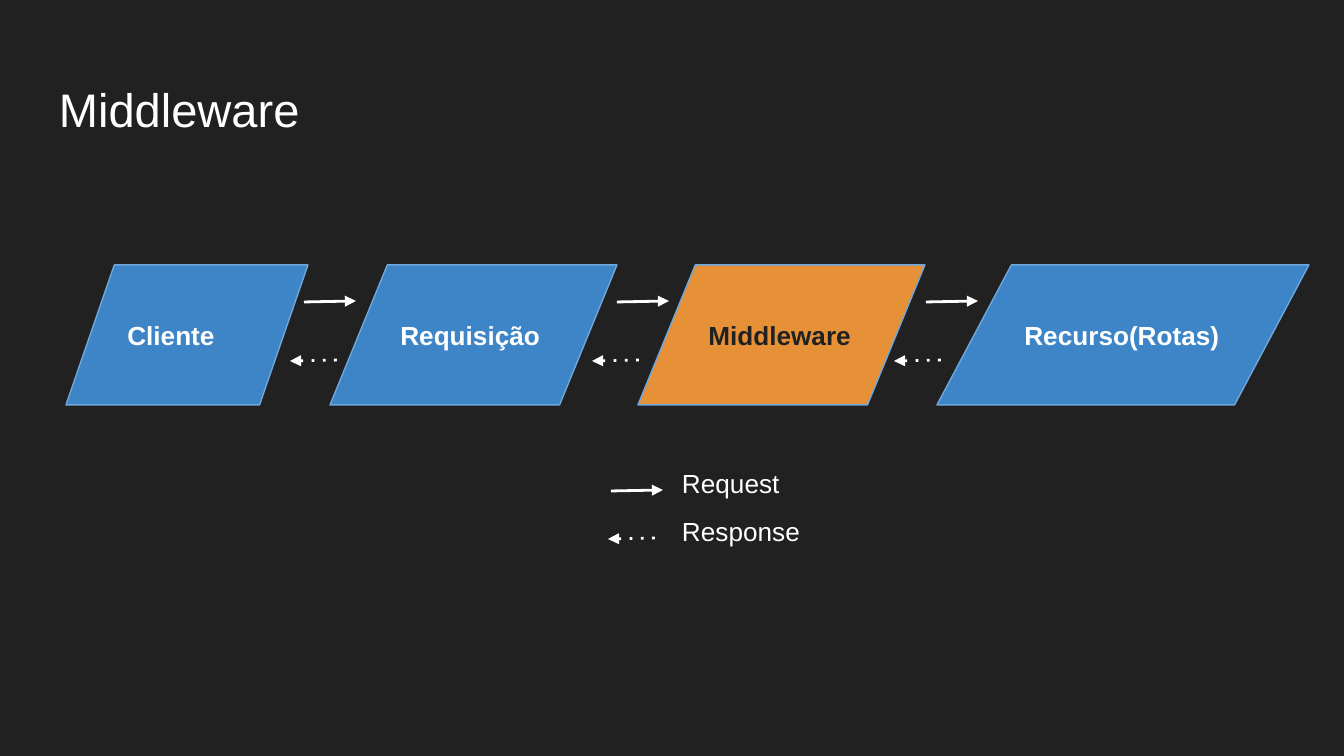
from lxml import etree
from pptx import Presentation
from pptx import util as u
from pptx.dml.color import RGBColor
from pptx.enum import shapes, text
from pptx.oxml.ns import qn

EMU_PER_PX = 914400 / 134.4
FONT = "Arial"
BACKGROUND, WHITE = "212121", "FFFFFF"
BLUE, ORANGE, OUTLINE = "3D85C6", "E69138", "6FA8DC"
INSET = 13
ARROW_WIDTH = 52


def px(length):
    return u.Emu(round(length * EMU_PER_PX))


def color(value):
    return RGBColor.from_string(value)


def write(shape, words, size=14, fill=WHITE, bold=False,
          anchor=text.MSO_ANCHOR.TOP, wrap=True):
    frame = shape.text_frame
    frame.word_wrap = wrap
    frame.vertical_anchor = anchor
    frame.margin_left = frame.margin_right = px(INSET)
    frame.margin_top = frame.margin_bottom = px(INSET)
    paragraph = frame.paragraphs[0]
    paragraph.text = words
    paragraph.alignment = text.PP_ALIGN.LEFT
    font = paragraph.font
    font.name, font.size, font.bold = FONT, u.Pt(size), bold
    font.color.rgb = color(fill)


def add_arrow(slide, left, top, response=False):
    """Solid arrow to the right, or dotted arrow to the left for a response."""
    connector = slide.shapes.add_connector(
        shapes.MSO_CONNECTOR.STRAIGHT,
        px(left), px(top), px(left + ARROW_WIDTH), px(top - 1))
    connector.line.color.rgb = color(WHITE)
    connector.line.width = u.Pt(1.5)
    line = connector.line._get_or_add_ln()
    if response:
        etree.SubElement(line, qn("a:prstDash"), val="dot")
    end = "a:headEnd" if response else "a:tailEnd"
    etree.SubElement(line, qn(end), type="triangle")
    etree.SubElement(connector._element.spPr, qn("a:effectLst"))


def add_title(slide, left, top, width, height):
    title = slide.shapes.title
    title.left, title.top = px(left), px(top)
    title.width, title.height = px(width), px(height)
    write(title, "Middleware", size=25.2, anchor=text.MSO_ANCHOR.MIDDLE)


def add_flow(slide, left, top, height):
    # Stages: label, offset, width, fill, text colour
    stages = [
        ("Cliente", 0, 242, BLUE, WHITE),
        ("Requisição", 264, 287, BLUE, WHITE),
        ("Middleware", 572, 287, ORANGE, BACKGROUND),
        ("Recurso(Rotas)", 871, 372, BLUE, WHITE),
    ]
    for label, offset, width, fill, ink in stages:
        stage = slide.shapes.add_shape(
            shapes.MSO_SHAPE.FLOWCHART_DATA,
            px(left + offset), px(top), px(width), px(height))
        stage.shadow.inherit = False
        stage.fill.solid()
        stage.fill.fore_color.rgb = color(fill)
        stage.line.color.rgb = color(OUTLINE)
        stage.line.width = u.Pt(0.75)
        write(stage, label, fill=ink, bold=True,
              anchor=text.MSO_ANCHOR.MIDDLE)

    # Requests above, responses below
    for offset in (238, 551, 860):
        add_arrow(slide, left + offset, top + 37)
    for gap in range(3):
        add_arrow(slide, left + 224 + 302 * gap, top + 96, response=True)


def add_legend(slide, left, top, row_height):
    entries = [("Request", 133, 3, False), ("Response", 152, 0, True)]
    for row, (label, width, arrow_offset, response) in enumerate(entries):
        row_top = top + row * row_height
        add_arrow(slide, left + arrow_offset, row_top + 37, response)
        box = slide.shapes.add_textbox(
            px(left + 61), px(row_top), px(width), px(59))
        write(box, label)


def main():
    presentation = Presentation()
    presentation.slide_width = px(1344)
    presentation.slide_height = px(756)
    slide = presentation.slides.add_slide(presentation.slide_layouts[5])
    slide.background.fill.solid()
    slide.background.fill.fore_color.rgb = color(BACKGROUND)

    add_title(slide, 46, 66, 1252, 85)
    add_flow(slide, 66, 265, 140)
    add_legend(slide, 608, 454, 48)
    presentation.save("out.pptx")


if __name__ == "__main__":
    main()
